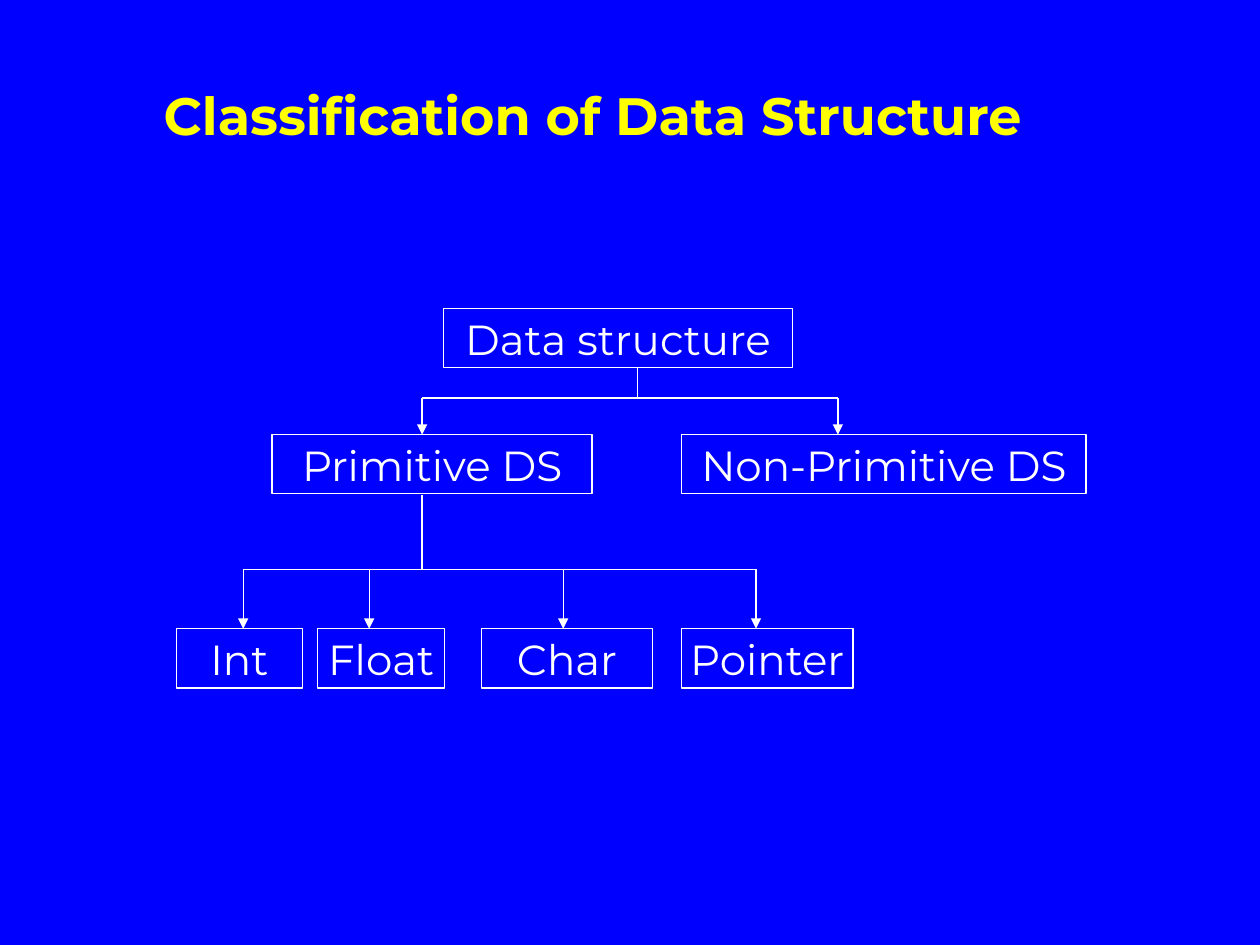
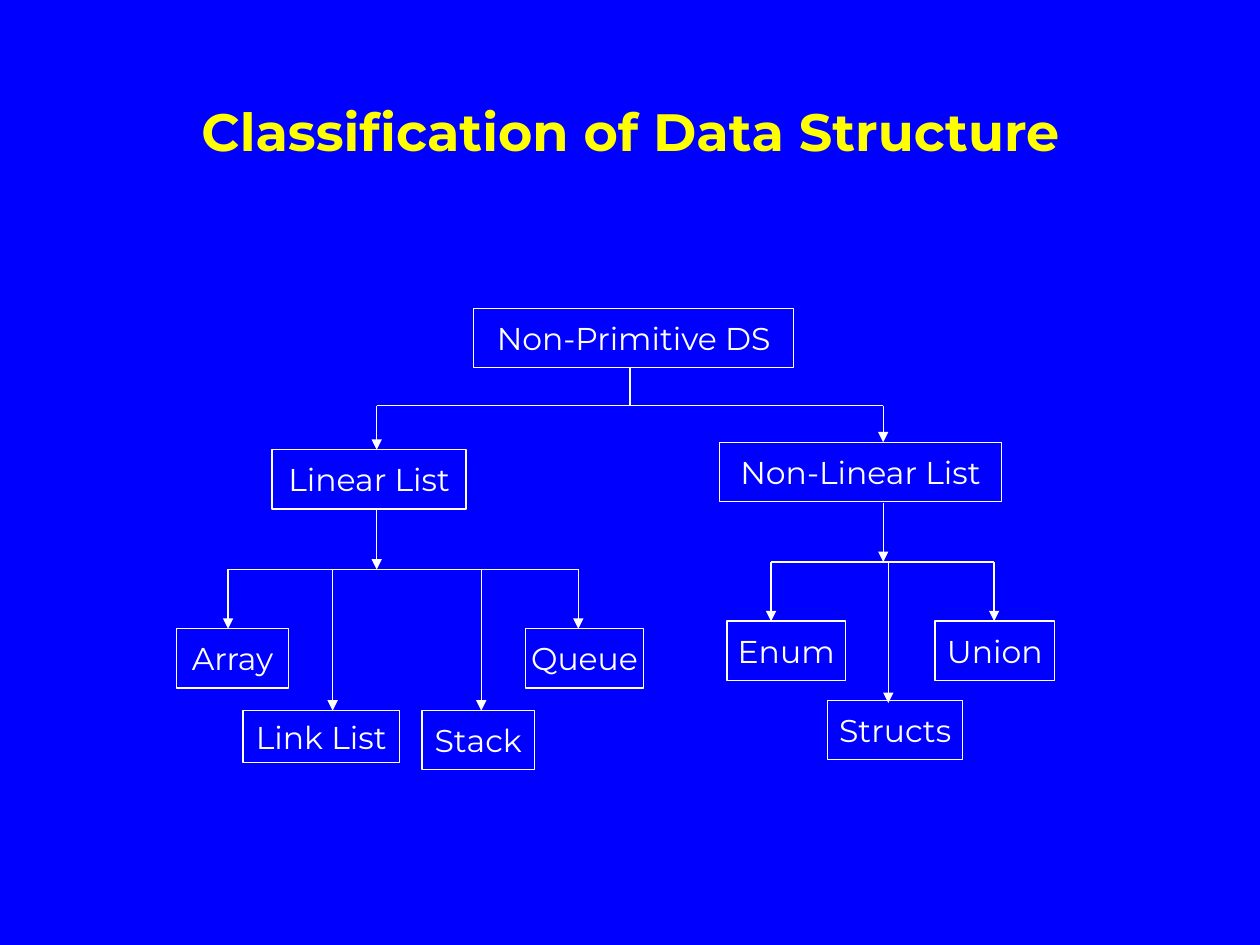
from dataclasses import dataclass

from lxml.etree import SubElement
from pptx import Presentation
from pptx.dml.color import RGBColor
from pptx.enum.shapes import MSO_CONNECTOR, MSO_SHAPE
from pptx.enum.text import MSO_ANCHOR, PP_ALIGN
from pptx.oxml.ns import qn
from pptx.presentation import Presentation as Deck
from pptx.shapes.autoshape import Shape
from pptx.slide import Slide
from pptx.util import Inches, Pt

BLUE = "0000FF"
WHITE = "FFFFFF"
YELLOW = "FFFF00"
FONT = "Montserrat"
LINE_WIDTH = 0.75
TITLE = "Classification of Data Structure"
TITLE_WIDTH, TITLE_HEIGHT = 7.31, 1.05


@dataclass(frozen=True)
class Node:
    label: str
    left: float
    top: float
    width: float
    height: float = 0.47


@dataclass(frozen=True)
class Branch:
    trunk_x: float
    trunk_top: float
    bar_y: float
    drops: tuple[tuple[float, float], ...]
    trunk_arrow: bool = False


@dataclass(frozen=True)
class TreeSlide:
    title_left: float
    title_top: float
    label_size: int
    nodes: tuple[Node, ...]
    branches: tuple[Branch, ...]


TREE_SLIDES = (
    TreeSlide(
        title_left=1.05,
        title_top=0.38,
        label_size=24,
        nodes=(
            Node("Data structure", 3.52, 2.45, 2.77),
            Node("Primitive DS", 2.16, 3.45, 2.54),
            Node("Non-Primitive DS", 5.41, 3.45, 3.21),
            Node("Int", 1.4, 4.99, 1),
            Node("Float", 2.52, 4.99, 1.01),
            Node("Char", 3.82, 4.99, 1.36),
            Node("Pointer", 5.41, 4.99, 1.36),
        ),
        branches=(
            Branch(5.06, 2.92, 3.16, ((3.35, 3.45), (6.65, 3.45))),
            Branch(3.35, 3.93, 4.52, tuple((x, 4.99) for x in (1.93, 2.93, 4.47, 6))),
        ),
    ),
    TreeSlide(
        title_left=1.35,
        title_top=0.51,
        label_size=18,
        nodes=(
            Node("Non-Primitive DS", 3.76, 2.45, 2.54),
            Node("Linear List", 2.16, 3.57, 1.54),
            Node("Non-Linear List", 5.71, 3.51, 2.24),
            Node("Array", 1.4, 4.99, 0.89),
            Node("Link List", 1.93, 5.64, 1.24, 0.41),
            Node("Stack", 3.35, 5.64, 0.89),
            Node("Queue", 4.17, 4.99, 0.94),
            Node("Enum", 5.77, 4.93, 0.94),
            Node("Structs", 6.57, 5.56, 1.07),
            Node("Union", 7.42, 4.93, 0.95),
        ),
        branches=(
            Branch(5, 2.92, 3.22, ((2.99, 3.57), (7.01, 3.51))),
            Branch(2.99, 4.05, 4.52, ((1.81, 4.99), (2.64, 5.64), (3.82, 5.64), (4.59, 4.99)), True),
            Branch(7.01, 3.99, 4.46, ((6.12, 4.93), (7.05, 5.58), (7.89, 4.93)), True),
        ),
    ),
)


def color(value: str) -> RGBColor:
    return RGBColor.from_string(value)


def write_text(
    shape: Shape, text: str, *, size: int, text_color: str, bold: bool = False, wrap: bool = False
) -> None:
    frame = shape.text_frame
    frame.word_wrap = wrap
    frame.vertical_anchor = MSO_ANCHOR.MIDDLE
    paragraph = frame.paragraphs[0]
    paragraph.alignment = PP_ALIGN.CENTER
    run = paragraph.add_run()
    run.text = text
    run.font.name = FONT
    run.font.size = Pt(size)
    run.font.bold = bold
    run.font.color.rgb = color(text_color)


def add_title(slide: Slide, left: float, top: float) -> None:
    shape = slide.shapes.add_textbox(
        Inches(left), Inches(top), Inches(TITLE_WIDTH), Inches(TITLE_HEIGHT)
    )
    write_text(shape, TITLE, size=30, text_color=YELLOW, bold=True, wrap=True)


def add_node(slide: Slide, node: Node, label_size: int) -> None:
    shape = slide.shapes.add_shape(
        MSO_SHAPE.RECTANGLE,
        Inches(node.left),
        Inches(node.top),
        Inches(node.width),
        Inches(node.height),
    )
    shape.shadow.inherit = False
    shape.fill.solid()
    shape.fill.fore_color.rgb = color(BLUE)
    shape.line.color.rgb = color(WHITE)
    shape.line.width = Pt(LINE_WIDTH)
    write_text(shape, node.label, size=label_size, text_color=WHITE)


def add_line(
    slide: Slide, start: tuple[float, float], end: tuple[float, float], arrow: bool = False
) -> None:
    connector = slide.shapes.add_connector(
        MSO_CONNECTOR.STRAIGHT, *(Inches(value) for value in (*start, *end))
    )
    connector.line.color.rgb = color(WHITE)
    connector.line.width = Pt(LINE_WIDTH)
    properties = connector.element.spPr
    if arrow:
        SubElement(properties.find(qn("a:ln")), qn("a:tailEnd"), type="triangle")
    SubElement(properties, qn("a:effectLst"))


def add_branch(slide: Slide, branch: Branch) -> None:
    bar_y = branch.bar_y
    add_line(slide, (branch.trunk_x, branch.trunk_top), (branch.trunk_x, bar_y), branch.trunk_arrow)
    add_line(slide, (branch.drops[0][0], bar_y), (branch.drops[-1][0], bar_y))
    for x, bottom in branch.drops:
        add_line(slide, (x, bar_y), (x, bottom), arrow=True)


def add_tree_slide(presentation: Deck, tree: TreeSlide) -> None:
    slide = presentation.slides.add_slide(presentation.slide_layouts[6])
    slide.background.fill.solid()
    slide.background.fill.fore_color.rgb = color(BLUE)
    add_title(slide, tree.title_left, tree.title_top)
    for node in tree.nodes:
        add_node(slide, node, tree.label_size)
    for branch in tree.branches:
        add_branch(slide, branch)


def main() -> None:
    presentation = Presentation()
    presentation.slide_width = Inches(10)
    presentation.slide_height = Inches(7.5)
    for tree in TREE_SLIDES:
        add_tree_slide(presentation, tree)
    presentation.save("out.pptx")


if __name__ == "__main__":
    main()
